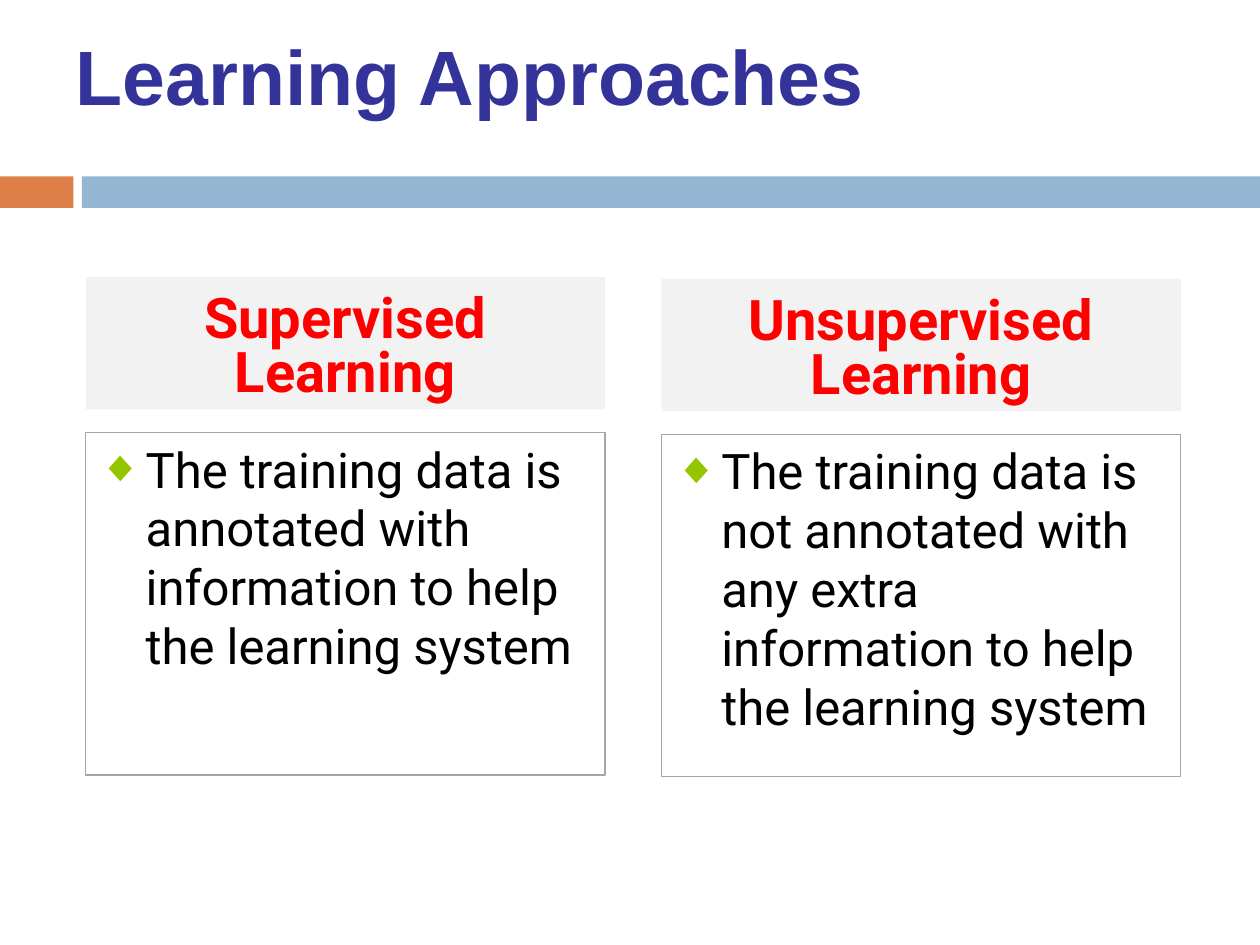
"""Build the Learning Approaches comparison slide."""
from lxml import etree
from pptx import Presentation
from pptx.dml.color import RGBColor
from pptx.enum import shapes, text
from pptx.oxml.ns import qn
from pptx.util import Pt

TITLE = "Learning Approaches"
BANDS = [(0, 42, "DD8047"), (46.8, 673.2, "94B6D2")]
COLUMNS = [
    (49, 158.4, "Supervised Learning",
     "The training data is annotated with information to help the learning system"),
    (378, 159.4, "Unsupervised Learning",
     "The training data is not annotated with any extra information to help the learning system"),
]
COLUMN_W, HEAD_H, BODY_H, BODY_DROP = 296.8, 75.6, 195.6, 88.9
TITLE_FONT = dict(name="Arial", size=Pt(44), bold=True)
HEAD_FONT = dict(name="Roboto", size=Pt(32), bold=True)
BODY_FONT = dict(name="Roboto", size=Pt(28), bold=False)
BULLET = [("buClr", {}), ("buSzPct", {"val": "90000"}),
          ("buFont", {"typeface": "Arial"}), ("buChar", {"char": "◆"})]


def rgb(value):
    return RGBColor.from_string(value)


def fill(sp, color):
    sp.fill.solid()
    sp.fill.fore_color.rgb = rgb(color)


def place(sp, left, top, width, height):
    box = dict(left=left, top=top, width=width, height=height)
    for name, value in box.items():
        setattr(sp, name, Pt(value))


def write(sp, words, font, color, anchor, align):
    tf = sp.text_frame
    tf.word_wrap = True
    tf.auto_size = text.MSO_AUTO_SIZE.NONE
    tf.vertical_anchor = anchor
    p = tf.paragraphs[0]
    p.alignment = align
    r = p.add_run()
    r.text = words
    for name, value in font.items():
        setattr(r.font, name, value)
    r.font.color.rgb = rgb(color)
    return p


def add_bullet(p, color):
    pPr = p._p.get_or_add_pPr()
    pPr.set("marL", str(Pt(27)))
    pPr.set("indent", str(-Pt(27)))
    for tag, attrs in BULLET:
        el = etree.SubElement(pPr, qn("a:" + tag), attrs)
        if tag == "buClr":
            etree.SubElement(el, qn("a:srgbClr"), val=color)


prs = Presentation()
prs.slide_width, prs.slide_height = Pt(720), Pt(540)
s = prs.slides.add_slide(prs.slide_layouts[4])
anchors, aligns = text.MSO_ANCHOR, text.PP_ALIGN

for left, width, color in BANDS:
    band = s.shapes.add_shape(shapes.MSO_SHAPE.RECTANGLE,
                              Pt(left), Pt(100.8), Pt(width), Pt(18))
    fill(band, color)
    band.line.fill.background()
    band.shadow.inherit = False

title = s.shapes.title
place(title, 36, 13.7, 648, 58.3)
write(title, TITLE, TITLE_FONT, "333399", anchors.MIDDLE, aligns.LEFT)

for i, (left, top, heading, detail) in enumerate(COLUMNS):
    head, body = (s.placeholders[2 * i + n] for n in (1, 2))
    place(head, left, top, COLUMN_W, HEAD_H)
    fill(head, "F2F2F2")
    p = write(head, heading, HEAD_FONT, "FF0000", anchors.BOTTOM, aligns.CENTER)
    p.line_spacing = 0.8
    place(body, left, top + BODY_DROP, COLUMN_W, BODY_H)
    body.line.color.rgb = rgb("A6A6A6")
    body.line.width = Pt(0.75)
    p = write(body, detail, BODY_FONT, "000000", anchors.TOP, aligns.LEFT)
    add_bullet(p, "94C600")

prs.save("out.pptx")
